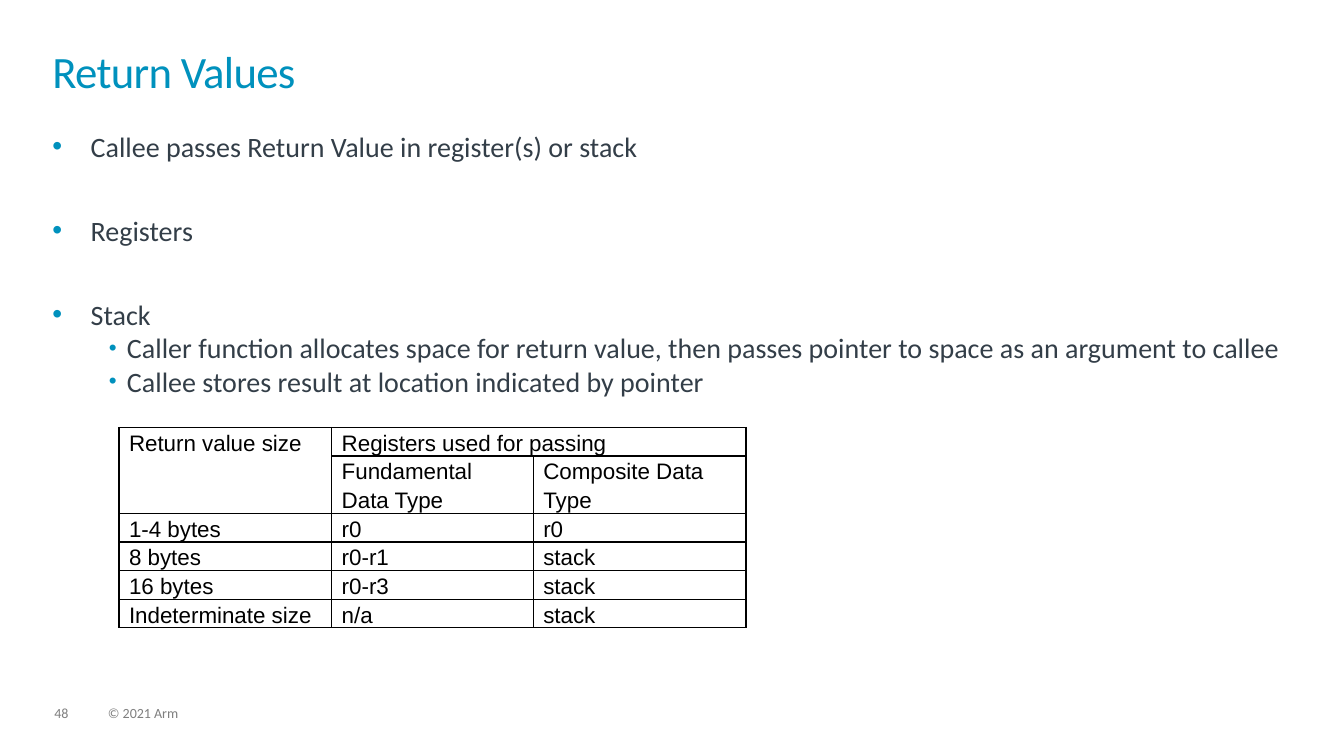
from lxml import etree
from pptx import Presentation
from pptx.dml.color import RGBColor
from pptx.enum.text import MSO_ANCHOR, MSO_AUTO_SIZE, PP_ALIGN
from pptx.oxml.ns import qn
from pptx.util import Inches, Pt

TOP = MSO_ANCHOR.TOP
NO_AUTOFIT = MSO_AUTO_SIZE.NONE
LEFT = PP_ALIGN.LEFT
TITLE_ONLY = 5

BLUE, SLATE, GREY, BLACK = "0091BD", "333E48", "7F7F7F", "000000"

BULLETS = [
    (0, 0, "Callee passes Return Value in register(s) or stack"),
    (0, 36, "Registers"),
    (0, 36, "Stack"),
    (1, 0, "Caller function allocates space for return value, "
           "then passes pointer to space as an argument to callee"),
    (1, 0, "Callee stores result at location indicated by pointer"),
]
BULLET_LEVELS = [(0.38, 0.38, 100), (0.74, 0.18, 80)]

RETURN_REGISTERS = [
    ["Return value size", "Registers used for passing", ""],
    ["", "Fundamental Data Type", "Composite Data Type"],
    ["1-4 bytes", "r0", "r0"],
    ["8 bytes", "r0-r1", "stack"],
    ["16 bytes", "r0-r3", "stack"],
    ["Indeterminate size", "n/a", "stack"],
]
MERGES = [((0, 0), (1, 0)), ((0, 1), (0, 2))]


def color(hex_value):
    return RGBColor.from_string(hex_value)


def add_element(parent, tag, **attributes):
    element = etree.SubElement(parent, qn(tag))
    for name, value in attributes.items():
        element.set(name, str(value))
    return element


class SlideBuilder:
    """Adds styled elements to one slide, placed on a grid of 100 by 100."""

    def __init__(self, presentation, font="Calibri"):
        self.column = presentation.slide_width / 100
        self.row = presentation.slide_height / 100
        self.font = font
        self.slide = presentation.slides.add_slide(
            presentation.slide_layouts[TITLE_ONLY])

    def place(self, left, top, width, height):
        return (round(left * self.column), round(top * self.row),
                round(width * self.column), round(height * self.row))

    def prepare_frame(self, frame):
        frame.margin_left = frame.margin_right = 0
        frame.margin_top = frame.margin_bottom = 0
        frame.word_wrap = True
        frame.auto_size = NO_AUTOFIT
        frame.vertical_anchor = TOP
        return frame

    def add_text(self, paragraph, text, size, hex_value, spacing=1.0, font=None):
        paragraph.alignment = LEFT
        paragraph.line_spacing = spacing
        run = paragraph.add_run()
        run.text = text
        run.font.name = font or self.font
        run.font.size = Pt(size)
        run.font.color.rgb = color(hex_value)
        return run

    def title(self, text, *box):
        shape = self.slide.shapes.title
        shape.left, shape.top, shape.width, shape.height = self.place(*box)
        frame = self.prepare_frame(shape.text_frame)
        run = self.add_text(frame.paragraphs[0], text, 32, BLUE, 0.85)
        run.font._element.set("spc", "-50")

    def text_frame(self, *box):
        shape = self.slide.shapes.add_textbox(*self.place(*box))
        return self.prepare_frame(shape.text_frame)

    def footer(self, text, *box):
        paragraph = self.text_frame(*box).paragraphs[0]
        self.add_text(paragraph, text, 10, GREY, 0.9)

    def bullets(self, items, *box):
        frame = self.text_frame(*box)
        for index, (level, space_before, text) in enumerate(items):
            paragraph = frame.add_paragraph() if index else frame.paragraphs[0]
            paragraph.level = level
            self.add_bullet(paragraph, *BULLET_LEVELS[level])
            paragraph.space_before = Pt(space_before)
            self.add_text(paragraph, text, 20, SLATE)

    def add_bullet(self, paragraph, margin, hanging, percent):
        properties = paragraph._p.get_or_add_pPr()
        properties.set("marL", str(Inches(margin)))
        properties.set("indent", str(-Inches(hanging)))
        bullet_color = add_element(properties, "a:buClr")
        add_element(bullet_color, "a:srgbClr", val=BLUE)
        add_element(properties, "a:buSzPct", val=percent * 1000)
        add_element(properties, "a:buFont", typeface="Arial")
        add_element(properties, "a:buChar", char="•")

    def table(self, rows, merges, left, top, widths, heights):
        box = self.place(left, top, sum(widths), sum(heights))
        table = self.slide.shapes.add_table(len(rows), len(widths), *box).table
        table.first_row = table.horz_banding = False
        for column, width in zip(table.columns, widths):
            column.width = round(width * self.column)
        for row, height in zip(table.rows, heights):
            row.height = round(height * self.row)
        for start, end in merges:
            table.cell(*start).merge(table.cell(*end))
        for row_index, row in enumerate(rows):
            for column_index, text in enumerate(row):
                self.fill_cell(table.cell(row_index, column_index), text)

    def fill_cell(self, cell, text):
        cell.margin_left = cell.margin_right = Inches(0.1)
        cell.margin_top = cell.margin_bottom = 0
        cell.vertical_anchor = TOP
        properties = cell._tc.get_or_add_tcPr()
        for side in ("a:lnL", "a:lnR", "a:lnT", "a:lnB"):
            border = add_element(properties, side, w=Pt(1))
            fill = add_element(border, "a:solidFill")
            add_element(fill, "a:srgbClr", val=BLACK)
        cell.fill.background()
        if not cell.is_spanned:
            paragraph = cell.text_frame.paragraphs[0]
            self.add_text(paragraph, text, 16, BLACK, 1.15, "Arial")


def main():
    presentation = Presentation()
    presentation.slide_width = Inches(13.33)
    presentation.slide_height = Inches(7.5)
    builder = SlideBuilder(presentation)
    builder.footer("48", 4.05, 93.47, 2.55, 2)
    builder.footer("© 2021 Arm", 8.03, 93.47, 38, 2)
    builder.title("Return Values", 3.9, 6.93, 92.12, 9.6)
    builder.bullets(BULLETS, 3.9, 17.07, 92.12, 72.13)
    line = 3.79
    builder.table(RETURN_REGISTERS, MERGES, 8.85, 56.53,
                  [15.83, 15, 15.83], [line, 2 * line] + [line] * 4)
    presentation.save("out.pptx")


if __name__ == "__main__":
    main()
